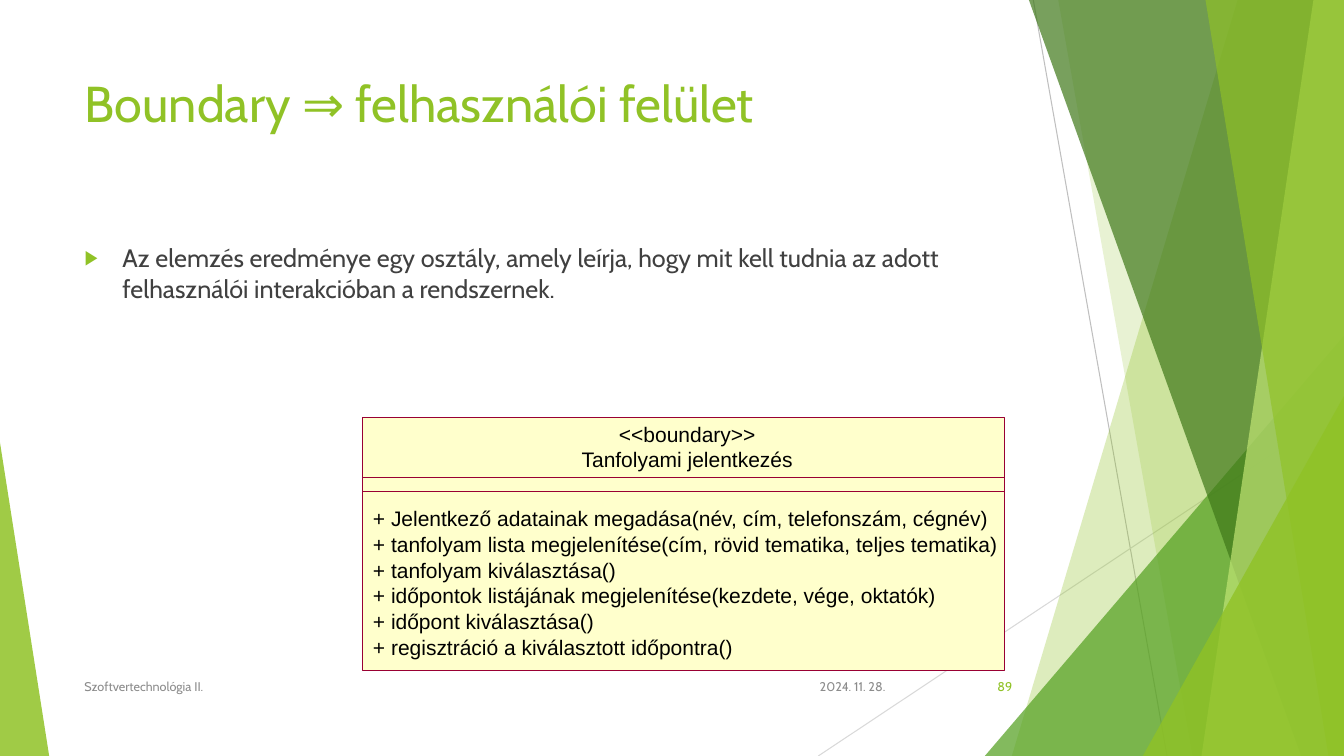
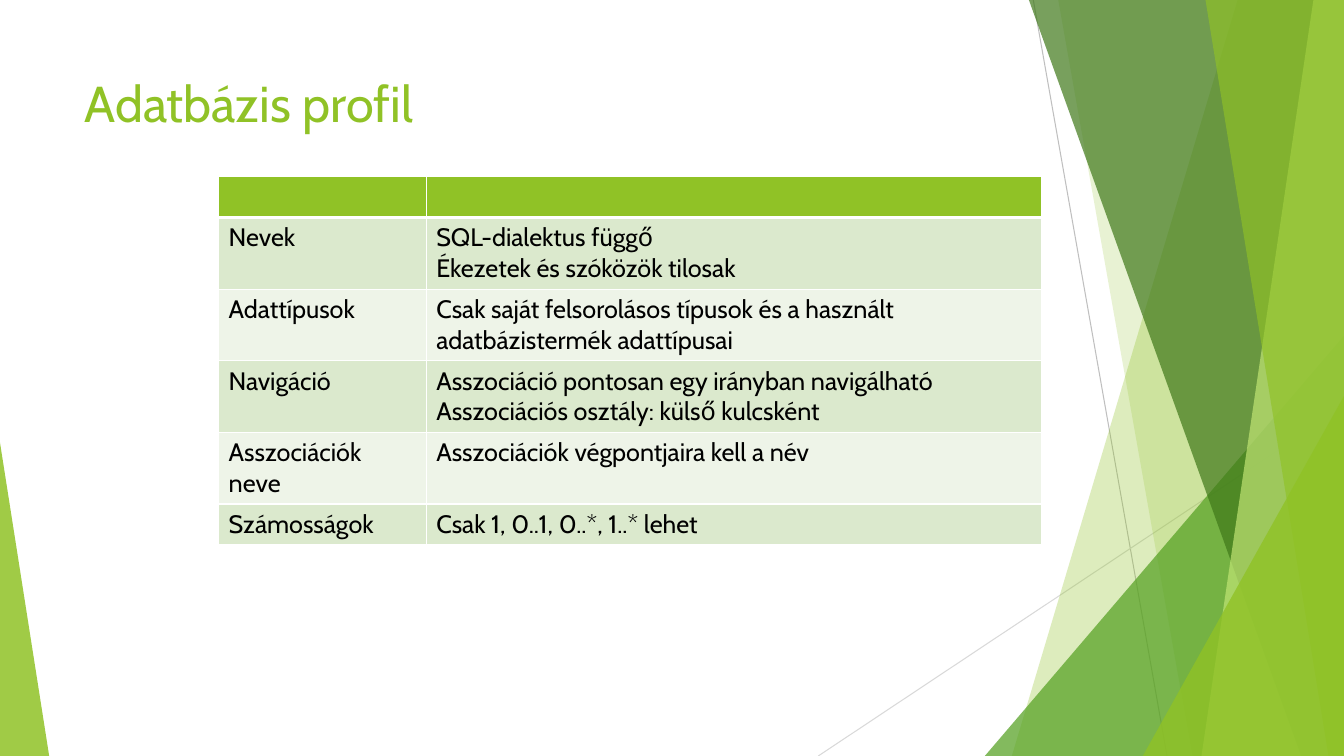
from dataclasses import dataclass
from typing import NamedTuple

from lxml.etree import SubElement
from pptx import Presentation
from pptx.dml.color import RGBColor
from pptx.enum.shapes import MSO_CONNECTOR, MSO_SHAPE
from pptx.enum.text import MSO_ANCHOR as Anchor, MSO_AUTO_SIZE as AutoSize, PP_ALIGN as Align
from pptx.oxml.ns import qn
from pptx.presentation import Presentation as Deck
from pptx.shapes.autoshape import Shape
from pptx.shapes.connector import Connector
from pptx.slide import Slide
from pptx.table import _Cell as Cell
from pptx.text.text import TextFrame
from pptx.util import Cm, Pt


@dataclass(frozen=True)
class Theme:
    green: str = "90C226"
    mid_green: str = "54A021"
    dark_green: str = "3F7819"
    light_green: str = "C0E474"
    row_dark: str = "DBE9CD"
    row_light: str = "EEF4E8"
    body: str = "404040"
    muted: str = "8C8C8C"
    black: str = "000000"
    white: str = "FFFFFF"
    grey: str = "BFBFBF"
    pale_grey: str = "D9D9D9"
    class_fill: str = "FFFFCC"
    class_line: str = "990033"
    font: str = "Cabin"
    class_font: str = "Arial"
    title_size: float = 36
    text_size: float = 18
    class_size: float = 15
    footer_size: float = 9


THEME = Theme()
WIDTH, HEIGHT = 33.87, 19.05


class Box(NamedTuple):
    left: float
    top: float
    width: float
    height: float

    def lengths(self) -> tuple[Cm, ...]:
        return tuple(Cm(side) for side in self)


class Ray(NamedTuple):
    start: tuple[float, float]
    end: tuple[float, float]
    color: str


class Band(NamedTuple):
    top_left: float
    bottom_right: float
    bottom_left: float
    color: str
    opacity: int


class Wedge(NamedTuple):
    box: Box
    apex: float
    color: str
    opacity: int


class FooterItem(NamedTuple):
    text: str
    box: Box
    align: Align
    color: str


class Row(NamedTuple):
    topic: str
    rule: str
    height: float
    fill: str


BACKDROP = (
    Ray((26.04, 0), (29.41, HEIGHT), THEME.grey),
    Ray((WIDTH, 10.24), (20.62, HEIGHT), THEME.pale_grey),
    Band(31.19, WIDTH, 25.5, THEME.green, 30),
    Band(26.67, WIDTH, 30.05, THEME.green, 20),
    Wedge(Box(24.82, 8.46, 9.05, 10.59), 1, THEME.mid_green, 72),
    Band(25.93, WIDTH, 32.79, THEME.dark_green, 70),
    Band(33.1, WIDTH, 30.28, THEME.light_green, 70),
    Band(30.38, WIDTH, 33.48, THEME.green, 65),
    Wedge(Box(28.8, 9.98, 5.07, 9.07), 1, THEME.green, 80),
    Wedge(Box(0, 11.15, 1.24, 7.9), 0, THEME.green, 85),
)
TITLE_BOX = Box(1.88, 1.7, 23.88, 3.66)
BODY_BOX = Box(1.88, 5.99, 23.88, 10.77)
CLASS_BOX = Box(9.14, 10.52, 16.18, 6.38)
DIVIDERS = (12.04, 12.37)
FOOTER = (
    FooterItem("2024. 11. 28.", Box(20.02, 16.79, 2.54, 1.02), Align.RIGHT, THEME.muted),
    FooterItem("Szoftvertechnológia II.", Box(1.88, 16.79, 17.5, 1.02), Align.LEFT, THEME.muted),
    FooterItem("89", Box(23.85, 16.79, 1.91, 1.02), Align.RIGHT, THEME.green),
)
CLASS_HEADING = "<<boundary>>\nTanfolyami jelentkezés"
OPERATIONS = "\n".join((
    "+ Jelentkező adatainak megadása(név, cím, telefonszám, cégnév)",
    "+ tanfolyam lista megjelenítése(cím, rövid tematika, teljes tematika)",
    "+ tanfolyam kiválasztása()",
    "+ időpontok listájának megjelenítése(kezdete, vége, oktatók)",
    "+ időpont kiválasztása()",
    "+ regisztráció a kiválasztott időpontra()",
))
ONE_LINE, TWO_LINES = 1.03, 1.8
PROFILE = (
    Row("", "", ONE_LINE, THEME.green),
    Row("Nevek", "SQL-dialektus függő\nÉkezetek és szóközök tilosak", TWO_LINES, THEME.row_dark),
    Row("Adattípusok", "Csak saját felsorolásos típusok és a használt adatbázistermék adattípusai",
        TWO_LINES, THEME.row_light),
    Row("Navigáció", "Asszociáció pontosan egy irányban navigálható\n"
        "Asszociációs osztály: külső kulcsként", TWO_LINES, THEME.row_dark),
    Row("Asszociációk neve", "Asszociációk végpontjaira kell a név", TWO_LINES, THEME.row_light),
    Row("Számosságok", "Csak 1, 0..1, 0..*, 1..* lehet", ONE_LINE, THEME.row_dark),
)


def rgb(color: str) -> RGBColor:
    return RGBColor.from_string(color)


def write(frame: TextFrame, text: str, size: float, color: str,
          font: str = THEME.font, align: Align = Align.LEFT) -> None:
    frame.text = text
    frame.word_wrap = True
    for paragraph in frame.paragraphs:
        paragraph.alignment = align
        for run in paragraph.runs:
            run.font.name = font
            run.font.size = Pt(size)
            run.font.color.rgb = rgb(color)


def place(shape: Shape, box: Box) -> None:
    shape.left, shape.top, shape.width, shape.height = box.lengths()


def tint(shape: Shape, color: str, opacity: int) -> None:
    shape.shadow.inherit = False
    shape.line.fill.background()
    shape.fill.solid()
    shape.fill.fore_color.rgb = rgb(color)
    paint = shape.element.spPr.find(qn("a:solidFill")).find(qn("a:srgbClr"))
    SubElement(paint, qn("a:alpha"), val=str(opacity * 1000))


def add_line(slide: Slide, ray: Ray, width: float = 0.75) -> Connector:
    line = slide.shapes.add_connector(
        MSO_CONNECTOR.STRAIGHT, *(Cm(value) for value in ray.start + ray.end))
    line.line.color.rgb = rgb(ray.color)
    line.line.width = Pt(width)
    SubElement(line.element.spPr, qn("a:effectLst"))
    return line


def add_band(slide: Slide, band: Band) -> Shape:
    builder = slide.shapes.build_freeform(Cm(band.top_left), 0)
    builder.add_line_segments([(Cm(WIDTH), 0), (Cm(band.bottom_right), Cm(HEIGHT)),
                               (Cm(band.bottom_left), Cm(HEIGHT))])
    outline = builder.convert_to_shape()
    tint(outline, band.color, band.opacity)
    return outline


def add_wedge(slide: Slide, wedge: Wedge) -> Shape:
    triangle = slide.shapes.add_shape(MSO_SHAPE.ISOSCELES_TRIANGLE, *wedge.box.lengths())
    triangle.adjustments[0] = wedge.apex
    tint(triangle, wedge.color, wedge.opacity)
    return triangle


def add_backdrop(deck: Deck, slide: Slide) -> None:
    painters = {Ray: add_line, Band: add_band, Wedge: add_wedge}
    master_tree = deck.slide_master.shapes.element
    for number, part in enumerate(BACKDROP, start=101):
        element = painters[type(part)](slide, part).element
        element.xpath(".//p:cNvPr")[0].set("id", str(number))
        master_tree.append(element)


def add_titled_slide(deck: Deck, layout: int, title: str) -> Slide:
    slide = deck.slides.add_slide(deck.slide_layouts[layout])
    heading = slide.shapes.title
    place(heading, TITLE_BOX)
    write(heading.text_frame, title, THEME.title_size, THEME.green)
    heading.text_frame.vertical_anchor = Anchor.TOP
    heading.text_frame.auto_size = AutoSize.NONE
    return slide


def add_bullets(slide: Slide, text: str) -> None:
    body = slide.placeholders[1]
    place(body, BODY_BOX)
    write(body.text_frame, text, THEME.text_size, THEME.body)
    body.text_frame.auto_size = AutoSize.NONE
    for paragraph in body.text_frame.paragraphs:
        paragraph.space_before = Pt(10)
        properties = paragraph._p.get_or_add_pPr()
        properties.set("marL", str(Cm(0.95)))
        properties.set("indent", str(-Cm(0.95)))
        bullet_color = SubElement(properties, qn("a:buClr"))
        SubElement(bullet_color, qn("a:srgbClr"), val=THEME.green)
        SubElement(properties, qn("a:buSzPct"), val="80000")
        SubElement(properties, qn("a:buFont"), typeface=THEME.class_font)
        SubElement(properties, qn("a:buChar"), char="▶")


def add_footer(slide: Slide) -> None:
    for item in FOOTER:
        frame = slide.shapes.add_textbox(*item.box.lengths()).text_frame
        write(frame, item.text, THEME.footer_size, item.color, align=item.align)
        frame.vertical_anchor = Anchor.MIDDLE


def add_class_text(slide: Slide, text: str, box: Box, align: Align) -> None:
    frame = slide.shapes.add_textbox(*box.lengths()).text_frame
    write(frame, text, THEME.class_size, THEME.black, THEME.class_font, align)
    frame.margin_left = frame.margin_right = frame.margin_top = frame.margin_bottom = 0
    for paragraph in frame.paragraphs:
        paragraph.line_spacing = Pt(18.3)


def add_class_diagram(slide: Slide) -> None:
    outline = slide.shapes.add_shape(MSO_SHAPE.RECTANGLE, *CLASS_BOX.lengths())
    outline.shadow.inherit = False
    outline.fill.solid()
    outline.fill.fore_color.rgb = rgb(THEME.class_fill)
    outline.line.color.rgb = rgb(THEME.class_line)
    outline.line.width = Pt(0.5)
    right = CLASS_BOX.left + CLASS_BOX.width
    for level in DIVIDERS:
        add_line(slide, Ray((CLASS_BOX.left, level), (right, level), THEME.class_line), 0.5)
    add_class_text(slide, CLASS_HEADING, Box(9.32, 10.6, 16, 1.3), Align.CENTER)
    add_class_text(slide, OPERATIONS, Box(9.4, 12.74, 15.9, 3.88), Align.LEFT)


def add_borders(cell: Cell, bottom_width: float) -> None:
    properties = cell._tc.get_or_add_tcPr()
    widths = {"a:lnL": 1, "a:lnR": 1, "a:lnT": 1, "a:lnB": bottom_width}
    for position, (side, width) in enumerate(widths.items()):
        edge = SubElement(properties, qn(side), w=str(Pt(width)))
        SubElement(SubElement(edge, qn("a:solidFill")), qn("a:srgbClr"), val=THEME.white)
        properties.insert(position, edge)


def add_profile_table(slide: Slide) -> None:
    box = Box(5.51, 4.45, 20.75, sum(row.height for row in PROFILE))
    table = slide.shapes.add_table(len(PROFILE), 2, *box.lengths()).table
    for column, width in zip(table.columns, (5.23, 15.52)):
        column.width = Cm(width)
    for index, row in enumerate(PROFILE):
        table.rows[index].height = Cm(row.height)
        for cell, text in zip(table.rows[index].cells, (row.topic, row.rule)):
            if text:
                write(cell.text_frame, text, THEME.text_size, THEME.black)
            cell.fill.solid()
            cell.fill.fore_color.rgb = rgb(row.fill)
            add_borders(cell, 3 if index == 0 else 1)


def main() -> None:
    deck = Presentation()
    deck.slide_width, deck.slide_height = Cm(WIDTH), Cm(HEIGHT)

    boundary = add_titled_slide(deck, 1, "Boundary ⇒ felhasználói felület")
    add_backdrop(deck, boundary)
    add_bullets(boundary, "Az elemzés eredménye egy osztály, amely leírja, hogy mit kell tudnia "
                          "az adott felhasználói interakcióban a rendszernek.")
    add_footer(boundary)
    add_class_diagram(boundary)

    database = add_titled_slide(deck, 5, "Adatbázis profil")
    add_profile_table(database)

    deck.save("out.pptx")


if __name__ == "__main__":
    main()
